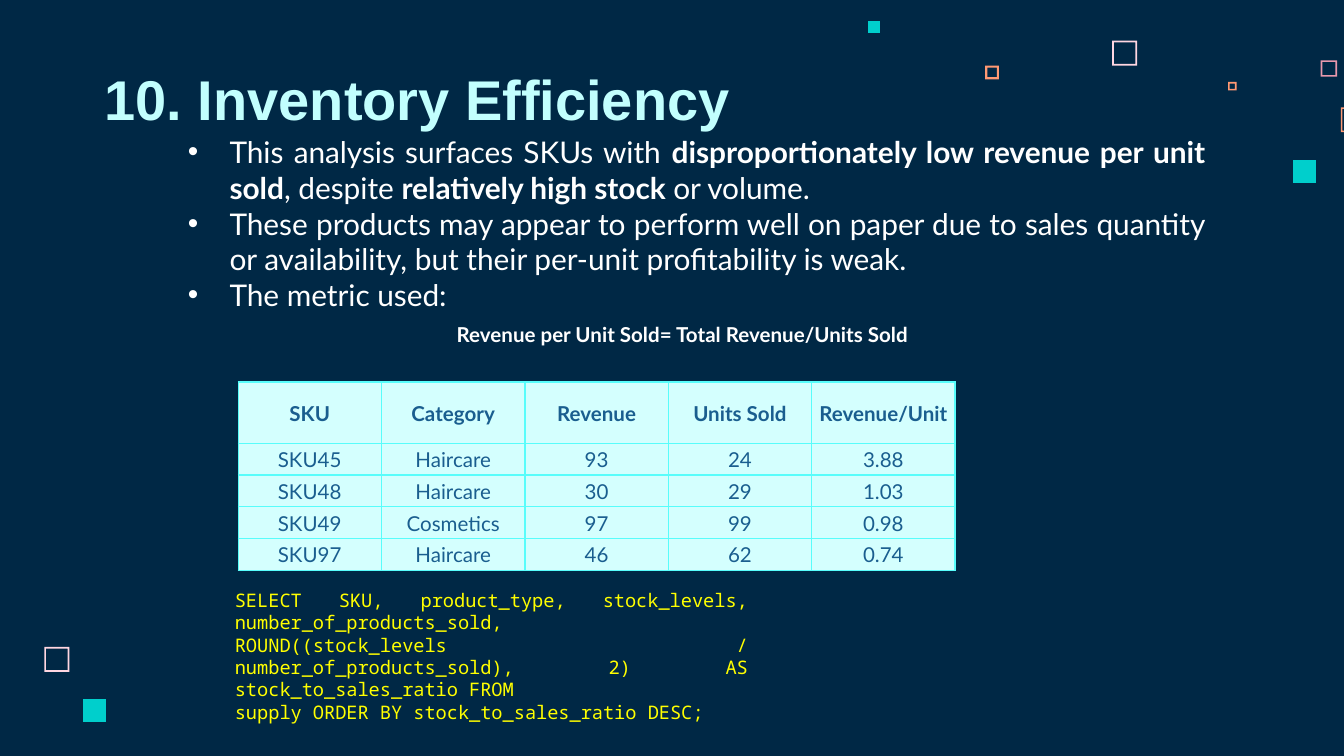
from lxml import etree
from pptx import Presentation
from pptx.dml.color import RGBColor
from pptx.enum.text import MSO_ANCHOR, PP_ALIGN
from pptx.oxml.ns import qn
from pptx.util import Cm, Pt

LEFT, CENTER, JUSTIFY = PP_ALIGN.LEFT, PP_ALIGN.CENTER, PP_ALIGN.JUSTIFY
TOP, MIDDLE, BOTTOM = MSO_ANCHOR.TOP, MSO_ANCHOR.MIDDLE, MSO_ANCHOR.BOTTOM

COLORS = {
    "background": "002845",
    "title": "C2FFFE",
    "body": "FFFFFF",
    "code": "FFFF00",
    "cell": "D4FFFE",
    "cell_text": "1A5E8F",
    "border": "58FDFB",
    "teal": "00CFCC",
    "orange": "FF9973",
    "pink": "FFD6E1",
    "rose": "E898AC",
}

# Left, top, side, frame thickness (0 is solid), colour
SQUARES = [
    (21.02, 0.77, 0.47, 0.03, "pink"),
    (24.96, 1.14, 0.31, 0.03, "rose"),
    (23.21, 1.55, 0.16, 0.03, "orange"),
    (25.34, 2.03, 0.47, 0.03, "orange"),
    (24.43, 3.02, 0.44, 0, "teal"),
    (18.62, 1.24, 0.26, 0.04, "orange"),
    (16.4, 0.4, 0.23, 0, "teal"),
    (0.84, 12.23, 0.47, 0.03, "pink"),
    (1.57, 13.21, 0.44, 0, "teal"),
]

# Each bullet is a list of (text, bold) runs
BULLETS = [
    [
        ("This analysis surfaces SKUs with ", False),
        ("disproportionately low revenue per unit sold", True),
        (", despite ", False),
        ("relatively high stock ", True),
        ("or volume.", False),
    ],
    [("These products may appear to perform well on paper due to sales quantity "
      "or availability, but their per-unit profitability is weak.", False)],
    [("The metric used:", False)],
]
FORMULA = "Revenue per Unit Sold= Total Revenue/Units Sold"

ROWS = [
    ["SKU", "Category", "Revenue", "Units Sold", "Revenue/Unit"],
    ["SKU45", "Haircare", "93", "24", "3.88"],
    ["SKU48", "Haircare", "30", "29", "1.03"],
    ["SKU49", "Cosmetics", "97", "99", "0.98"],
    ["SKU97", "Haircare", "46", "62", "0.74"],
]

QUERY = [
    "SELECT SKU, product_type, stock_levels, number_of_products_sold, "
    "ROUND((stock_levels / number_of_products_sold), 2) AS stock_to_sales_ratio FROM",
    "supply ORDER BY stock_to_sales_ratio DESC;",
]


def color(name):
    return RGBColor.from_string(COLORS[name])


class SlideBuilder:
    """Holds the fonts and the current slide."""

    title_font, body_font, code_font = "Arial", "Lato", "Noto Sans Mono"

    def __init__(self, slide):
        self.slide = slide
        fill = slide.background.fill
        fill.solid()
        fill.fore_color.rgb = color("background")

    def square(self, left, top, side, thickness, color_name):
        right, bottom = left + side, top + side
        builder = self.slide.shapes.build_freeform(Cm(left), Cm(top))
        builder.add_line_segments(
            [(Cm(x), Cm(y)) for x, y in ((left, bottom), (right, bottom), (right, top))])
        if thickness:
            near_x, near_y = left + thickness, top + thickness
            far_x, far_y = right - thickness, bottom - thickness
            builder.move_to(Cm(near_x), Cm(near_y))
            builder.add_line_segments(
                [(Cm(x), Cm(y)) for x, y in ((far_x, near_y), (far_x, far_y), (near_x, far_y))])
        shape = builder.convert_to_shape()
        shape.shadow.inherit = False
        shape.fill.solid()
        shape.fill.fore_color.rgb = color(color_name)
        shape.line.fill.background()

    def text_box(self, left, top, width, height, anchor=TOP):
        box = self.slide.shapes.add_textbox(Cm(left), Cm(top), Cm(width), Cm(height))
        text_frame = box.text_frame
        text_frame.word_wrap = True
        text_frame.vertical_anchor = anchor
        return text_frame

    def style(self, paragraph, font_name, size, color_name, bold=False, align=LEFT):
        paragraph.alignment = align
        for run in paragraph.runs:
            self.style_run(run, font_name, size, color_name, bold)

    def style_run(self, run, font_name, size, color_name, bold):
        font = run.font
        font.name, font.size, font.bold = font_name, Pt(size), bold
        font.color.rgb = color(color_name)

    def bullet(self, paragraph, runs):
        properties = paragraph._p.get_or_add_pPr()
        properties.set("marL", str(Cm(0.79)))
        properties.set("indent", str(-Cm(0.79)))
        bullet_color = etree.SubElement(properties, qn("a:buClr"))
        etree.SubElement(bullet_color, qn("a:srgbClr"), val=COLORS["body"])
        etree.SubElement(properties, qn("a:buFont"), typeface="Arial")
        etree.SubElement(properties, qn("a:buChar"), char="•")
        paragraph.alignment = JUSTIFY
        for text, bold in runs:
            run = paragraph.add_run()
            run.text = text
            self.style_run(run, self.body_font, 16, "body", bold)

    def formula(self, paragraph, text):
        paragraph.text = text
        paragraph._p.get_or_add_pPr().set("marL", str(Cm(5.08)))
        paragraph.space_before = Pt(5)
        self.style(paragraph, self.body_font, 11, "body", True, JUSTIFY)

    def table(self, left, top, column_width, row_heights, rows):
        columns = len(rows[0])
        table = self.slide.shapes.add_table(
            len(rows), columns, Cm(left), Cm(top),
            Cm(column_width * columns), Cm(sum(row_heights))).table
        for column in table.columns:
            column.width = Cm(column_width)
        for row_index, (texts, height) in enumerate(zip(rows, row_heights)):
            table.rows[row_index].height = Cm(height)
            for column_index, text in enumerate(texts):
                self.cell(table.cell(row_index, column_index), text, row_index == 0)

    def cell(self, cell, text, bold):
        cell.text_frame.text = text
        cell.vertical_anchor = MIDDLE
        cell.margin_left = cell.margin_right = cell.margin_top = Cm(0.02)
        cell.margin_bottom = 0
        cell.fill.solid()
        cell.fill.fore_color.rgb = color("cell")
        self.style(cell.text_frame.paragraphs[0], self.body_font, 11, "cell_text", bold, CENTER)
        properties = cell._tc.get_or_add_tcPr()
        for index, side in enumerate(("lnL", "lnR", "lnT", "lnB")):
            line = etree.Element(qn(f"a:{side}"), w=str(Pt(0.75)))
            fill = etree.SubElement(line, qn("a:solidFill"))
            etree.SubElement(fill, qn("a:srgbClr"), val=COLORS["border"])
            properties.insert(index, line)


def main():
    presentation = Presentation()
    presentation.slide_width, presentation.slide_height = Cm(25.4), Cm(14.29)
    builder = SlideBuilder(presentation.slides.add_slide(presentation.slide_layouts[6]))

    # Decorative squares
    for square in SQUARES:
        builder.square(*square)

    # Title
    title = builder.text_box(1.73, 1.14, 16.54, 1.6, BOTTOM)
    title.margin_top = title.margin_bottom = Cm(0.25)
    title.text = "10. Inventory Efficiency"
    builder.style(title.paragraphs[0], builder.title_font, 30, "title", True)

    # Bullets and formula
    body = builder.text_box(3.3, 2.4, 19.74, 5.05)
    for index, runs in enumerate(BULLETS):
        builder.bullet(body.add_paragraph() if index else body.paragraphs[0], runs)
    builder.formula(body.add_paragraph(), FORMULA)

    # Table of the weakest products
    builder.table(4.5, 7.22, 2.71, [1.16] + [0.6] * 4, ROWS)

    # Query
    query = builder.text_box(4.19, 11, 10.19, 2.39)
    query.text = "\n".join(QUERY)
    for paragraph in query.paragraphs:
        builder.style(paragraph, builder.code_font, 10, "code", align=JUSTIFY)

    presentation.save("out.pptx")


if __name__ == "__main__":
    main()
